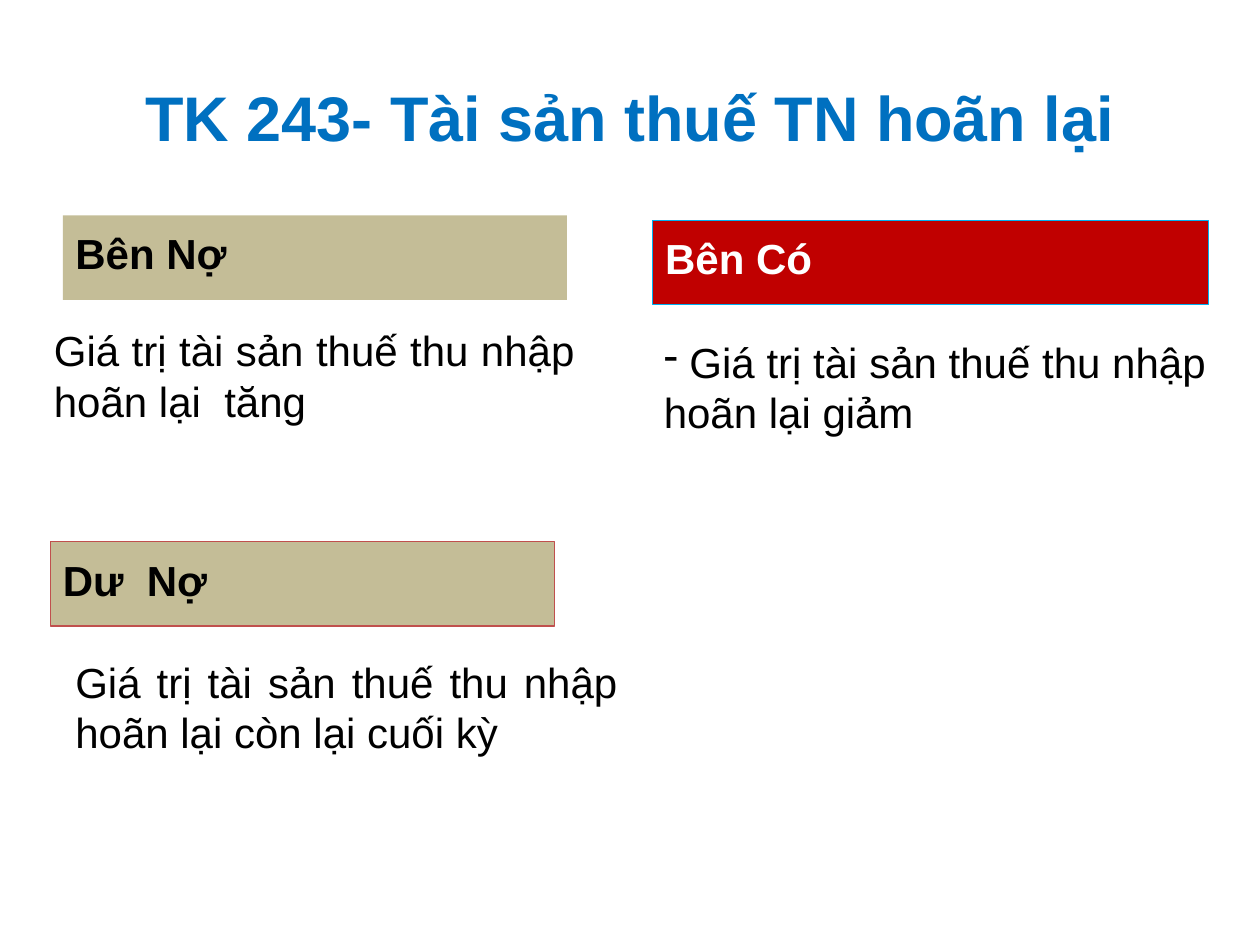
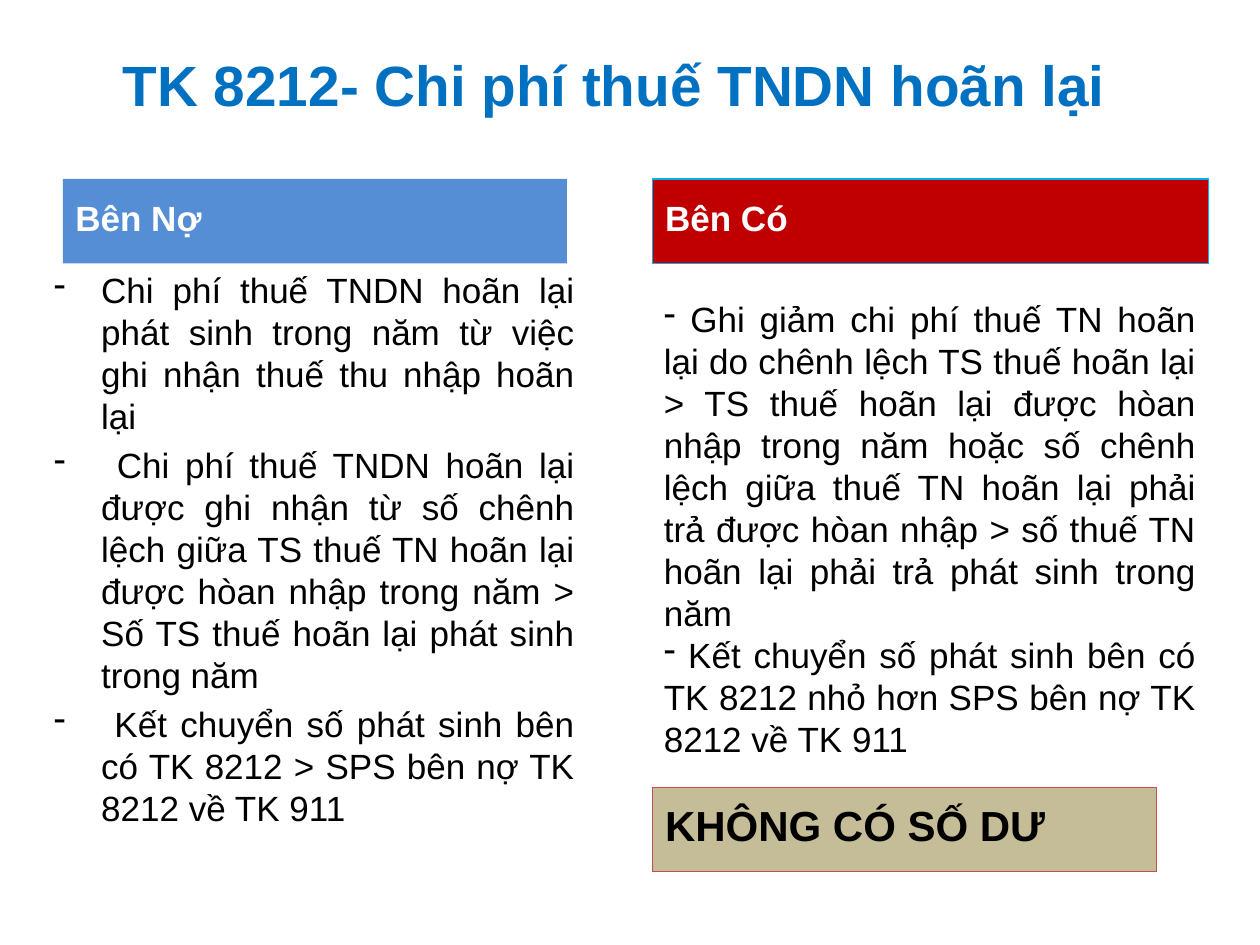
"""Builds two slides on deferred tax accounts, each with debit and credit sides."""
from dataclasses import dataclass

import pptx
import pptx.dml.color
import pptx.enum.shapes
import pptx.enum.text
import pptx.oxml.ns
import pptx.slide
import pptx.text.text
import pptx.util
from lxml import etree

WIDE, HIGH = pptx.util.Inches(10), pptx.util.Inches(7.5)
COL, ROW = WIDE / 100, HIGH / 75
FONT = "Arial"
HUES = {
    "title": "0070C0", "tan": "C4BD97", "red": "C00000", "blue": "558ED5",
    "aqua": "00B0F0", "brick": "C0504D", "black": "000000", "white": "FFFFFF",
}
ALIGN = pptx.enum.text.PP_ALIGN
MIDDLE = pptx.enum.text.MSO_ANCHOR.MIDDLE
LEFT, RIGHT = 5, 51.8
BAR_TALL = 6.7
BAR_HANG, LIST_HANG = 4.7, 3.75


@dataclass(frozen=True)
class Title:
    text: str
    size: float
    lift: float = 0
    shift: float = 0


@dataclass(frozen=True)
class Bar:
    text: str
    left: float
    top: float
    fill: str
    ink: str
    size: int = 24
    wide: float = 40
    edge: str = ""


@dataclass(frozen=True)
class Note:
    lines: tuple[str, ...]
    left: float
    top: float
    wide: float
    tall: float
    size: int = 24
    dash: bool = False
    hang: float = 0
    gap: float = 0


def hue(name: str) -> pptx.dml.color.RGBColor:
    return pptx.dml.color.RGBColor.from_string(HUES[name])


def place(left: float, top: float, wide: float, tall: float) -> tuple[int, ...]:
    return round(left * COL), round(top * ROW), round(wide * COL), round(tall * ROW)


def style(para: pptx.text.text._Paragraph, size: float, ink: str, bold: bool = False) -> None:
    for run in para.runs:
        run.font.name = FONT
        run.font.size = pptx.util.Pt(size)
        run.font.bold = bold
        run.font.color.rgb = hue(ink)


def indent(para: pptx.text.text._Paragraph, hang: float, dash: bool = False) -> None:
    props = para._p.get_or_add_pPr()
    props.set("marL", str(round(hang * COL)))
    props.set("indent", str(-round(hang * COL)))
    if dash:
        etree.SubElement(props, pptx.oxml.ns.qn("a:buChar")).set("char", "-")


def draw_title(slide: pptx.slide.Slide, title: Title) -> None:
    frame = slide.shapes.add_textbox(*place(5, 3, 90, 12.5)).text_frame
    frame.word_wrap = True
    frame.vertical_anchor = MIDDLE
    frame.margin_bottom += round(title.lift * ROW)
    frame.margin_right += round(title.shift * COL)
    frame.text = title.text
    para = frame.paragraphs[0]
    para.alignment = ALIGN.CENTER
    style(para, title.size, "title", True)


def draw_bar(slide: pptx.slide.Slide, bar: Bar) -> None:
    kind = pptx.enum.shapes.MSO_SHAPE.RECTANGLE
    shape = slide.shapes.add_shape(kind, *place(bar.left, bar.top, bar.wide, BAR_TALL))
    shape.shadow.inherit = False
    shape.fill.solid()
    shape.fill.fore_color.rgb = hue(bar.fill)
    if bar.edge:
        shape.line.color.rgb = hue(bar.edge)
        shape.line.width = pptx.util.Pt(0.75)
    else:
        shape.line.fill.background()
    frame = shape.text_frame
    frame.word_wrap = True
    frame.vertical_anchor = MIDDLE
    frame.text = bar.text
    para = frame.paragraphs[0]
    para.alignment = ALIGN.LEFT
    para.line_spacing = 0.8
    indent(para, BAR_HANG)
    style(para, bar.size, bar.ink, True)


def draw_note(slide: pptx.slide.Slide, note: Note) -> None:
    box = slide.shapes.add_textbox(*place(note.left, note.top, note.wide, note.tall))
    frame = box.text_frame
    frame.word_wrap = True
    frame.auto_size = pptx.enum.text.MSO_AUTO_SIZE.SHAPE_TO_FIT_TEXT
    frame.text = "\n".join(note.lines)
    for spot, para in enumerate(frame.paragraphs):
        para.alignment = ALIGN.JUSTIFY
        if spot and note.gap:
            para.space_before = pptx.util.Pt(note.gap)
        indent(para, note.hang, note.dash)
        style(para, note.size, "black")


PAGES = (
    (
        Title("TK 243- Tài sản thuế TN hoãn lại", 36),
        Bar("Bên Nợ", LEFT, 17.1, "tan", "black"),
        Bar("Bên Có", RIGHT, 17.5, "red", "white", wide=44.1, edge="aqua"),
        Bar("Dư  Nợ", 4, 43, "tan", "black", edge="brick"),
        Note((" Giá trị tài sản thuế thu nhập hoãn lại giảm",),
             51.7, 26.2, 45, 9.1, dash=True),
        Note(("Giá trị tài sản thuế thu nhập hoãn lại  tăng ",), 3.3, 25.3, 43.3, 8.3),
        Note(("Giá trị tài sản thuế thu nhập hoãn lại còn lại cuối kỳ",),
             LEFT, 51.6, 45, 9.1),
    ),
    (
        Title("TK 8212- Chi phí thuế TNDN hoãn lại", 32.4, lift=5.2, shift=2.5),
        Bar("Bên Nợ", LEFT, 14.2, "blue", "white", 20),
        Bar("Bên Có", RIGHT, 14.2, "red", "white", 20, 44.1, "aqua"),
        Note((
            " Ghi giảm chi phí thuế TN hoãn lại do chênh lệch TS thuế hoãn lại > "
            "TS thuế hoãn lại được hòan nhập trong năm hoặc số chênh lệch giữa "
            "thuế TN hoãn lại phải trả được hòan nhập > số thuế TN hoãn lại phải "
            "trả phát sinh trong năm",
            " Kết chuyển số phát sinh bên có TK 8212 nhỏ hơn SPS bên nợ TK 8212 "
            "về TK 911 ",
        ), 51.7, 23.1, 44.2, 41.4, 20, True),
        Note((
            "Chi phí thuế TNDN hoãn lại phát sinh trong năm từ việc ghi nhận "
            "thuế thu nhập hoãn lại",
            " Chi phí thuế TNDN hoãn lại được ghi nhận từ số chênh lệch giữa TS "
            "thuế TN hoãn lại được hòan nhập trong năm > Số TS thuế hoãn lại "
            "phát sinh trong năm ",
            " Kết chuyển số phát sinh bên có TK 8212 > SPS bên nợ TK 8212 về TK 911 ",
        ), 3.3, 20.8, 43.3, 50.2, 20, True, LIST_HANG, 4),
        Bar("KHÔNG CÓ SỐ DƯ", RIGHT, 62.5, "tan", "black", edge="brick"),
    ),
)
DRAW = {Title: draw_title, Bar: draw_bar, Note: draw_note}


def main() -> None:
    deck = pptx.Presentation()
    deck.slide_width, deck.slide_height = WIDE, HIGH
    for page in PAGES:
        slide = deck.slides.add_slide(deck.slide_layouts[6])
        for part in page:
            DRAW[type(part)](slide, part)
    deck.save("out.pptx")


if __name__ == "__main__":
    main()
